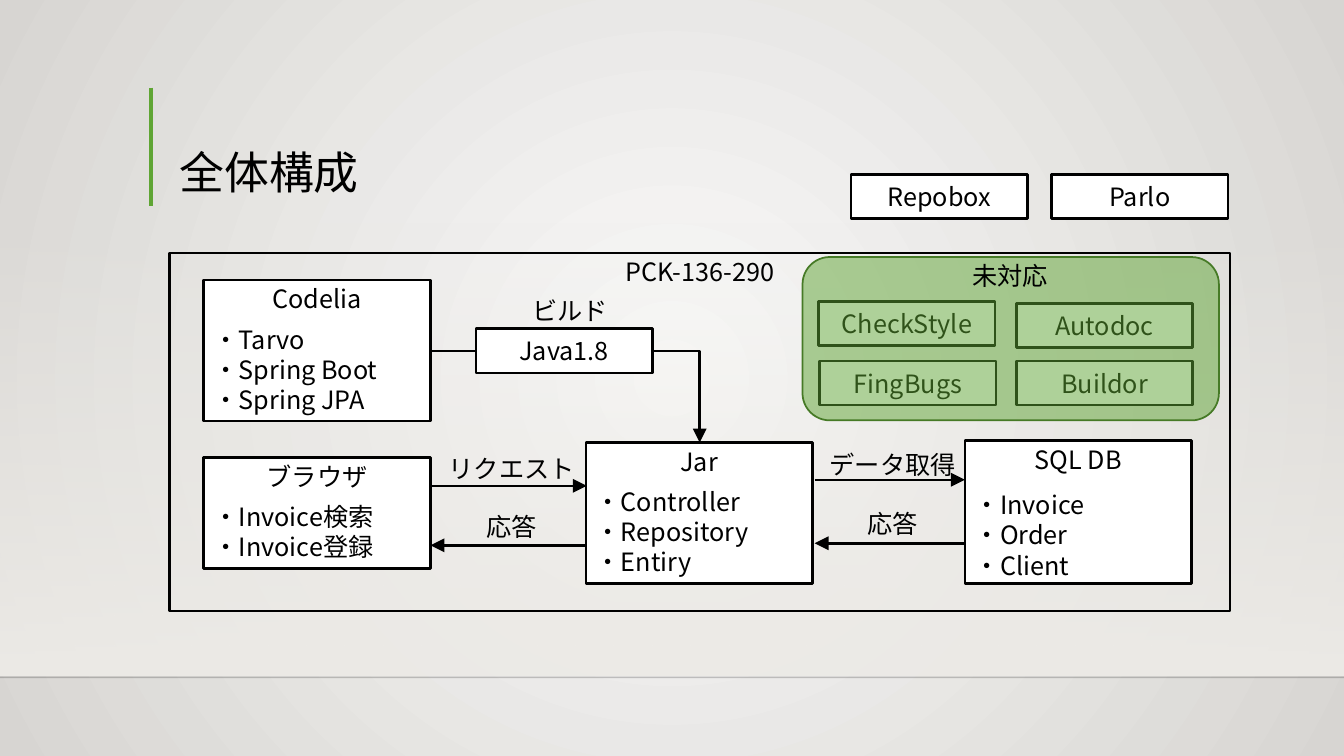
"""Builds the system overview slide."""
from lxml import etree
from pptx import Presentation
from pptx.dml.color import RGBColor
from pptx.enum.shapes import MSO_CONNECTOR, MSO_SHAPE
from pptx.enum.text import MSO_ANCHOR, MSO_AUTO_SIZE, PP_ALIGN
from pptx.oxml.ns import qn
from pptx.util import Inches, Pt

BLACK = RGBColor(0x00, 0x00, 0x00)
WHITE = RGBColor(0xFF, 0xFF, 0xFF)
GREEN = RGBColor(0x5F, 0xA5, 0x34)
DARK_GREEN = RGBColor(0x46, 0x7A, 0x26)
BG_LIGHT = RGBColor(0xFA, 0xFA, 0xF9)
BG_DARK = RGBColor(0xD7, 0xD5, 0xD2)
BAND = RGBColor(0xED, 0xEB, 0xE7)
RECT, ROUND = MSO_SHAPE.RECTANGLE, MSO_SHAPE.ROUNDED_RECTANGLE
STRAIGHT, ELBOW = MSO_CONNECTOR.STRAIGHT, MSO_CONNECTOR.ELBOW
LEFT, CENTER = PP_ALIGN.LEFT, PP_ALIGN.CENTER
MIDDLE, BOTTOM = MSO_ANCHOR.MIDDLE, MSO_ANCHOR.BOTTOM
NO_AUTOFIT = MSO_AUTO_SIZE.NONE

CARD_W, HEAD_H = 2.25, 0.37
TILE_W, TILE_H = 1.75, 0.44


def write(tf, text, size=18, align=CENTER, anchor=MIDDLE, spacing=None):
    """Fill a text frame, one paragraph for each line of text."""
    tf.word_wrap = True
    tf.auto_size = NO_AUTOFIT
    tf.vertical_anchor = anchor
    for i, line in enumerate(text.split("\n")):
        p = tf.paragraphs[0] if i == 0 else tf.add_paragraph()
        p.alignment = align
        p.line_spacing = spacing
        r = p.add_run()
        r.text = line
        r.font.size = Pt(size)
        r.font.color.rgb = BLACK
        r.font.name = Deck.font
        ea = etree.SubElement(r.font._element, qn("a:ea"))
        ea.set("typeface", Deck.font)


def set_alpha(element, percent):
    """Set the opacity of the first colour inside an element."""
    color = next(element.iter(qn("a:srgbClr")))
    etree.SubElement(color, qn("a:alpha")).set("val", str(percent * 1000))


def set_stops(fill, *colors):
    """Make a fill a gradient through the given colours."""
    fill.gradient()
    for stop, color in zip(fill.gradient_stops, colors):
        stop.color.rgb = color


class Deck:
    """Holds the style and the current slide."""

    font = "Noto Sans CJK JP"
    line_width = 1.75

    def __init__(self, prs):
        """Add a title-only slide."""
        self.s = prs.slides.add_slide(prs.slide_layouts[5])

    def background(self):
        """Paint a gradient that darkens away from the centre."""
        fill = self.s.background.fill
        set_stops(fill, BG_LIGHT, BG_DARK)
        lin = next(self.s.element.iter(qn("a:lin")))
        path = etree.Element(qn("a:path"), {"path": "circle"})
        sides = dict.fromkeys("ltrb", "50000")
        etree.SubElement(path, qn("a:fillToRect"), sides)
        lin.getparent().replace(lin, path)

    def title(self, text, x, y, w, h):
        """Place and format the title."""
        sp = self.s.shapes.title
        sp.left, sp.top, sp.width, sp.height = map(Inches, (x, y, w, h))
        write(sp.text_frame, text, size=32, align=LEFT, anchor=BOTTOM, spacing=0.9)

    def box(self, x, y, w, h, fill=WHITE, line=BLACK, width=line_width, kind=RECT):
        """Add a preset shape."""
        sp = self.s.shapes.add_shape(kind, *map(Inches, (x, y, w, h)))
        sp.shadow.inherit = False
        if fill is None:
            sp.fill.background()
        else:
            sp.fill.solid()
            sp.fill.fore_color.rgb = fill
        if line is None:
            sp.line.fill.background()
        else:
            sp.line.color.rgb = line
            sp.line.width = Pt(width)
        return sp

    def text(self, text, x, y, w=CARD_W, h=HEAD_H, **fmt):
        """Add a text box."""
        sp = self.s.shapes.add_textbox(*map(Inches, (x, y, w, h)))
        write(sp.text_frame, text, **fmt)

    def line(self, x1, y1, x2, y2, color=BLACK, width=line_width, arrow=False, kind=STRAIGHT):
        """Add a line, with an arrowhead at its end on request."""
        c = self.s.shapes.add_connector(kind, *map(Inches, (x1, y1, x2, y2)))
        c.line.color.rgb = color
        c.line.width = Pt(width)
        sp_pr = c.element.spPr
        if arrow:
            head = {"type": "triangle", "w": "lg", "len": "lg"}
            etree.SubElement(sp_pr.find(qn("a:ln")), qn("a:tailEnd"), head)
        if kind == ELBOW:
            sp_pr.find(qn("a:prstGeom")).set("prst", "bentConnector2")
        etree.SubElement(sp_pr, qn("a:effectLst"))
        return c

    def tile(self, name, x, y):
        """Add a small box with a name."""
        self.box(x, y, TILE_W, TILE_H)
        self.text(name, x, y, TILE_W, TILE_H)

    def card(self, head, items, x, y, h, gap=0):
        """Add a box with a heading and a list."""
        self.box(x, y, CARD_W, h)
        self.text(head, x, y, CARD_W, HEAD_H)
        top = HEAD_H + gap
        lines = "\n".join("・" + item for item in items)
        self.text(lines, x, y + top, CARD_W, h - top, align=LEFT)


prs = Presentation()
prs.slide_width, prs.slide_height = Inches(13.33), Inches(7.5)
deck = Deck(prs)

deck.background()
band = deck.box(0, 2.2, 13.33, 4.5, line=None)
set_stops(band.fill, BAND, BAND)
band.fill.gradient_angle = 270
set_alpha(band.element.spPr, 0)
floor = deck.line(0, 6.72, 13.33, 6.72, width=1)
set_alpha(floor.element.spPr, 20)
deck.line(1.5, 0.87, 1.5, 2.04, color=GREEN, width=3)
deck.title("全体構成", 1.68, 0.88, 10.41, 1.15)

deck.box(1.68, 2.51, 10.52, 3.55, fill=None)
deck.text("PCK-136-290", 1.68, 2.51, 10.52)

for x1, x2, y in [(4.27, 5.82, 4.82), (8.08, 9.57, 4.76),
                  (9.57, 8.08, 5.39), (5.82, 4.27, 5.41)]:
    deck.line(x1, y, x2, y, arrow=True)
deck.line(4.26, 3.48, 6.94, 4.39, arrow=True, kind=ELBOW)

for label, x, y in [("リクエスト", 3.95, 4.46), ("データ取得", 7.73, 4.42),
                    ("応答", 7.73, 5.01), ("応答", 3.95, 5.04), ("ビルド", 4.53, 2.89)]:
    deck.text(label, x, y)

deck.card("Codelia", ["Tarvo", "Spring Boot", "Spring JPA"], 2.02, 2.78, 1.4)
deck.card("ブラウザ", ["Invoice検索", "Invoice登録"], 2.02, 4.54, 1.1)
deck.card("Jar", ["Controller", "Repository", "Entiry"], 5.81, 4.39, 1.4)
deck.card("SQL DB", ["Invoice", "Order", "Client"], 9.57, 4.37, 1.42, gap=0.08)

for name, x, y in [("Java1.8", 4.72, 3.26), ("Repobox", 8.44, 1.73), ("Parlo", 10.43, 1.73),
                   ("CheckStyle", 8.12, 2.99), ("Autodoc", 10.08, 3.01),
                   ("FingBugs", 8.13, 3.58), ("Buildor", 10.08, 3.58)]:
    deck.tile(name, x, y)

cover = deck.box(7.96, 2.55, 4.13, 1.62, fill=GREEN, line=DARK_GREEN, width=1.25, kind=ROUND)
set_alpha(cover.element.spPr, 50)
deck.text("未対応", 7.95, 2.55, 4.14)

prs.save("out.pptx")
